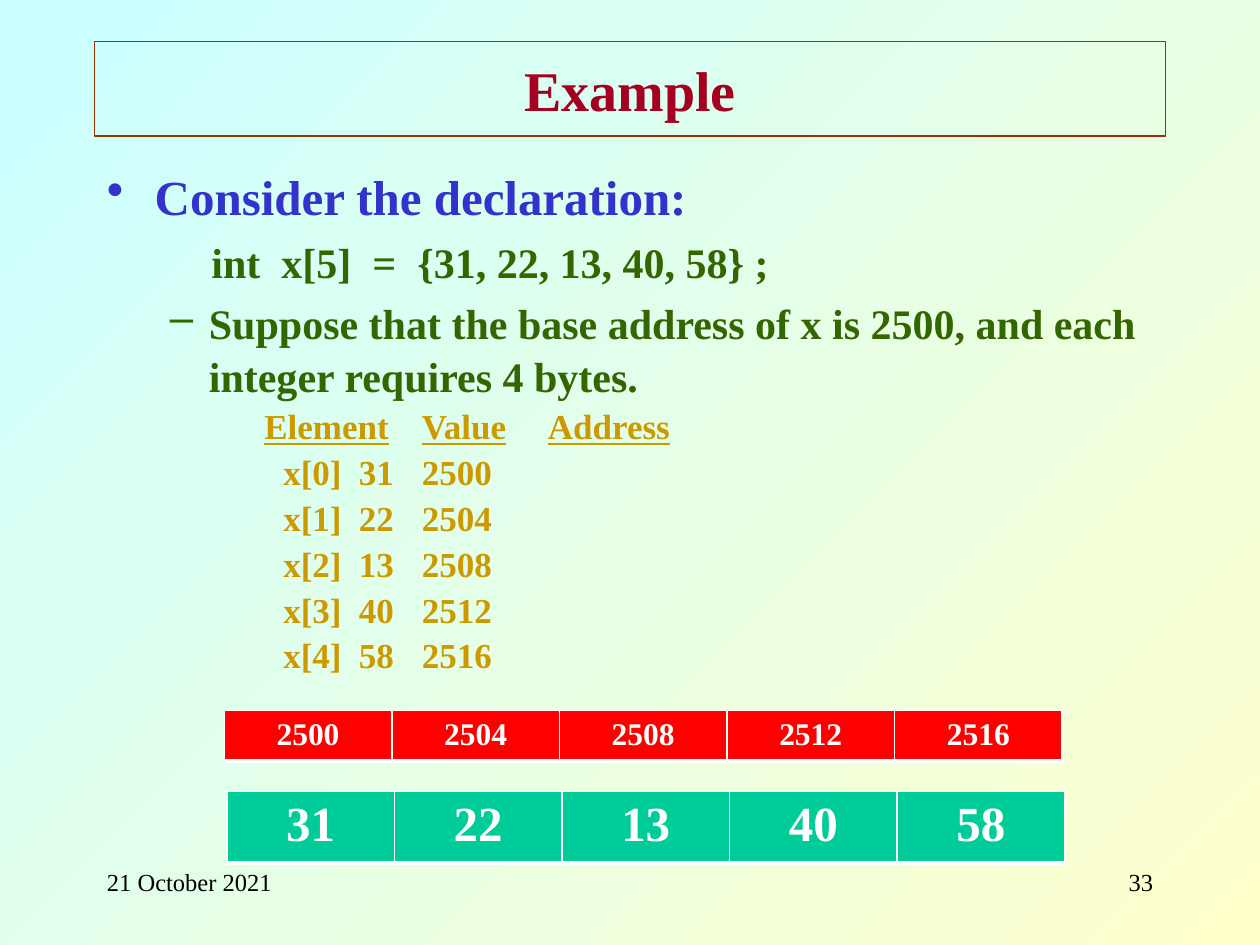
from dataclasses import dataclass

from lxml import etree
from pptx import Presentation
from pptx.dml.color import RGBColor
from pptx.enum import text
from pptx.oxml import ns
from pptx.util import Inches, Pt


@dataclass(frozen=True)
class Theme:
    font: str = "Times New Roman"
    sky: str = "CCFFFF"
    cream: str = "FFFFCC"
    frame: str = "993300"
    heading: str = "A50021"
    topic: str = "3333CC"
    detail: str = "336600"
    listing: str = "CC9900"
    address: str = "FF0000"
    value: str = "00CC99"
    white: str = "FFFFFF"
    black: str = "000000"
    heading_size: int = 32
    topic_size: int = 28
    detail_size: int = 24
    listing_size: int = 20
    address_size: int = 18
    footer_size: int = 14
    line_spacing: float = 1.05


THEME = Theme()


@dataclass(frozen=True)
class Style:
    size: int
    color: str
    bold: bool = True


@dataclass(frozen=True)
class Line:
    words: tuple[str, ...]
    style: Style
    margin: float
    indent: float = 0
    bullet: str = ""
    space: float = 0.2
    tabs: tuple[float, ...] = ()
    underline: bool = False


@dataclass(frozen=True)
class Strip:
    left: float
    top: float
    height: float
    values: tuple[int, ...]
    style: Style
    fill: str


TOPIC = Style(THEME.topic_size, THEME.topic)
DETAIL = Style(THEME.detail_size, THEME.detail)
LISTING = Style(THEME.listing_size, THEME.listing)
FOOTER = Style(THEME.footer_size, THEME.black, bold=False)
VALUES = (31, 22, 13, 40, 58)
BASE_ADDRESS = 2500
INTEGER_BYTES = 4
ADDRESSES = tuple(BASE_ADDRESS + INTEGER_BYTES * i for i in range(len(VALUES)))
CELL_WIDTH = 1.33


def rgb(color: str) -> RGBColor:
    return RGBColor.from_string(color)


def add_words(paragraph, words: str, style: Style, underline: bool = False) -> None:
    run = paragraph.add_run()
    run.text = words
    run.font.name = THEME.font
    run.font.size = Pt(style.size)
    run.font.bold = style.bold
    run.font.underline = underline
    run.font.color.rgb = rgb(style.color)


def add_line(paragraph, line: Line) -> None:
    paragraph.space_before = Pt(line.space * line.style.size)
    paragraph.line_spacing = THEME.line_spacing
    properties = paragraph._p.get_or_add_pPr()
    properties.set("marL", str(Inches(line.margin)))
    properties.set("indent", str(Inches(line.indent)))
    if line.bullet:
        etree.SubElement(properties, ns.qn("a:buChar"), char=line.bullet)
    else:
        etree.SubElement(properties, ns.qn("a:buNone"))
    if line.tabs:
        stops = etree.SubElement(properties, ns.qn("a:tabLst"))
        for stop in line.tabs:
            etree.SubElement(stops, ns.qn("a:tab"), pos=str(Inches(stop)), algn="l")
    for index, words in enumerate(line.words):
        if index:
            add_words(paragraph, "\t", line.style)
        add_words(paragraph, words, line.style, line.underline)


def add_body(slide, lines: list[Line]) -> None:
    body = slide.shapes.add_textbox(Inches(0.75), Inches(1.25), Inches(8.5), Inches(4.35))
    frame = body.text_frame
    frame.word_wrap = True
    for index, line in enumerate(lines):
        add_line(frame.add_paragraph() if index else frame.paragraphs[0], line)


def add_border(cell, edge: str, width: float) -> None:
    border = etree.SubElement(cell._tc.get_or_add_tcPr(), ns.qn(f"a:{edge}"), w=str(Pt(width)))
    fill = etree.SubElement(border, ns.qn("a:solidFill"))
    etree.SubElement(fill, ns.qn("a:srgbClr"), val=THEME.white)


def add_strip(slide, strip: Strip) -> None:
    count = len(strip.values)
    table = slide.shapes.add_table(
        1, count, Inches(strip.left), Inches(strip.top),
        Inches(CELL_WIDTH * count), Inches(strip.height),
    ).table
    for cell, value in zip(table.iter_cells(), strip.values):
        for edge, width in (("lnL", 1), ("lnR", 1), ("lnT", 1), ("lnB", 3)):
            add_border(cell, edge, width)
        cell.fill.solid()
        cell.fill.fore_color.rgb = rgb(strip.fill)
        paragraph = cell.text_frame.paragraphs[0]
        paragraph.alignment = text.PP_ALIGN.CENTER
        add_words(paragraph, str(value), strip.style)


def add_footer(slide, left: float, words: str, alignment: text.PP_ALIGN) -> None:
    footer = slide.shapes.add_textbox(Inches(left), Inches(6.83), Inches(2.08), Inches(0.5))
    footer.text_frame.word_wrap = True
    paragraph = footer.text_frame.paragraphs[0]
    paragraph.alignment = alignment
    add_words(paragraph, words, FOOTER)


def format_title(title, words: str) -> None:
    title.left, title.top = Inches(0.75), Inches(0.33)
    title.width, title.height = Inches(8.5), Inches(0.75)
    title.line.color.rgb = rgb(THEME.frame)
    title.line.width = Pt(0.75)
    title.text_frame.vertical_anchor = text.MSO_ANCHOR.MIDDLE
    paragraph = title.text_frame.paragraphs[0]
    paragraph.alignment = text.PP_ALIGN.CENTER
    add_words(paragraph, words, Style(THEME.heading_size, THEME.heading))


def paint_background(slide) -> None:
    fill = slide.background.fill
    fill.gradient()
    fill.gradient_angle = 315
    for stop, position, color in zip(fill.gradient_stops, (0.05, 1), (THEME.sky, THEME.cream)):
        stop.position = position
        stop.color.rgb = rgb(color)


def main() -> None:
    deck = Presentation()
    deck.slide_width, deck.slide_height = Inches(10), Inches(7.5)
    slide = deck.slides.add_slide(deck.slide_layouts[5])
    paint_background(slide)
    add_footer(slide, 0.75, "21 October 2021", text.PP_ALIGN.LEFT)
    add_footer(slide, 7.17, "33", text.PP_ALIGN.RIGHT)
    format_title(slide.shapes.title, "Example")

    declaration = [
        Line(("Consider the declaration:",), TOPIC, 0.38, -0.38, "•"),
        Line(("int  x[5]  =  {31, 22, 13, 40, 58} ;",), DETAIL, 0.83),
        Line(("Suppose that the base address of x is 2500, and each integer requires 4 bytes.",),
             DETAIL, 0.81, -0.31, "–"),
        Line(("Element", "Value", "Address"), LISTING, 0, 1.25,
             space=0.05, tabs=(2.52, 3.47), underline=True),
    ]
    elements = [
        Line((f"x[{index}]", str(value), str(address)), LISTING, 0, 1.4,
             space=0.05, tabs=(2.77, 3.81))
        for index, (value, address) in enumerate(zip(VALUES, ADDRESSES))
    ]
    add_body(slide, declaration + elements)

    add_strip(slide, Strip(1.8, 6.28, 0.57, VALUES, Style(THEME.topic_size, THEME.white), THEME.value))
    add_strip(slide, Strip(1.78, 5.64, 0.4, ADDRESSES, Style(THEME.address_size, THEME.white), THEME.address))
    deck.save("out.pptx")


if __name__ == "__main__":
    main()
